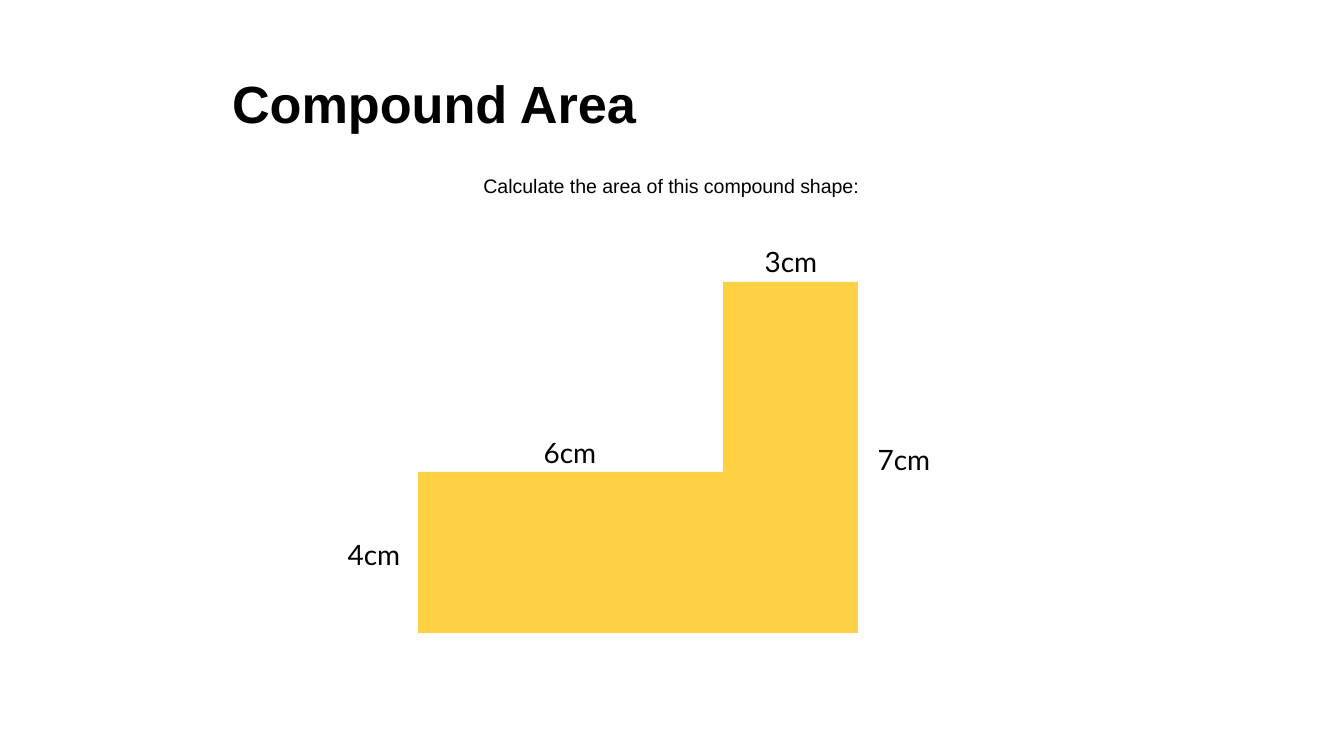
"""Build a slide asking for the area of a compound shape."""
from pptx import Presentation
from pptx import util as u
from pptx.dml.color import RGBColor
from pptx.enum import shapes, text

SCALE = 914400 / 134.4
SLIDE = (1344, 756)
BLACK, YELLOW = "000000", "FED044"
TITLE = ("Compound Area", (219, 52, 906, 110))
QUESTION = ("Calculate the area of this compound shape:", (251, 157, 841, 57))
RECTANGLES = [(723, 282, 135, 351), (418, 472, 305, 161)]
LABEL_SIZE = (90, 47)
LABELS = [("6cm", 525, 429), ("4cm", 329, 531), ("3cm", 746, 238), ("7cm", 859, 436)]


def px(value):
    return u.Emu(round(value * SCALE))


def colour(value):
    return RGBColor.from_string(value)


def write(box, words, size, font, align, anchor, inset, bold=False):
    frame = box.text_frame
    frame.word_wrap = True
    frame.auto_size = text.MSO_AUTO_SIZE.NONE
    frame.vertical_anchor = anchor
    frame.margin_left = frame.margin_right = px(13)
    frame.margin_top = frame.margin_bottom = px(inset)
    para = frame.paragraphs[0]
    para.alignment = align
    span = para.add_run()
    span.text = words
    span.font.size = u.Pt(size)
    span.font.name = font
    span.font.bold = bold
    span.font.color.rgb = colour(BLACK)


def main():
    deck = Presentation()
    deck.slide_width, deck.slide_height = map(px, SLIDE)
    page = deck.slides.add_slide(deck.slide_layouts[5])
    center = text.PP_ALIGN.CENTER
    top, middle = text.MSO_ANCHOR.TOP, text.MSO_ANCHOR.MIDDLE

    words, place = TITLE
    title = page.shapes.title
    title.left, title.top, title.width, title.height = map(px, place)
    write(title, words, 28, "Arial", text.PP_ALIGN.LEFT, top, 19, bold=True)

    words, place = QUESTION
    question = page.shapes.add_shape(shapes.MSO_SHAPE.ROUNDED_RECTANGLE, *map(px, place))
    question.shadow.inherit = False
    question.fill.background()
    question.line.fill.background()
    write(question, words, 10.5, "Arial", center, middle, 7)

    for place in RECTANGLES:
        rectangle = page.shapes.add_shape(shapes.MSO_SHAPE.RECTANGLE, *map(px, place))
        rectangle.shadow.inherit = False
        rectangle.fill.solid()
        rectangle.fill.fore_color.rgb = colour(YELLOW)
        rectangle.line.fill.background()

    for words, left, upper in LABELS:
        label = page.shapes.add_textbox(*map(px, (left, upper, *LABEL_SIZE)))
        write(label, words, 15, "Lato", center, top, 7)

    deck.save("out.pptx")


if __name__ == "__main__":
    main()
